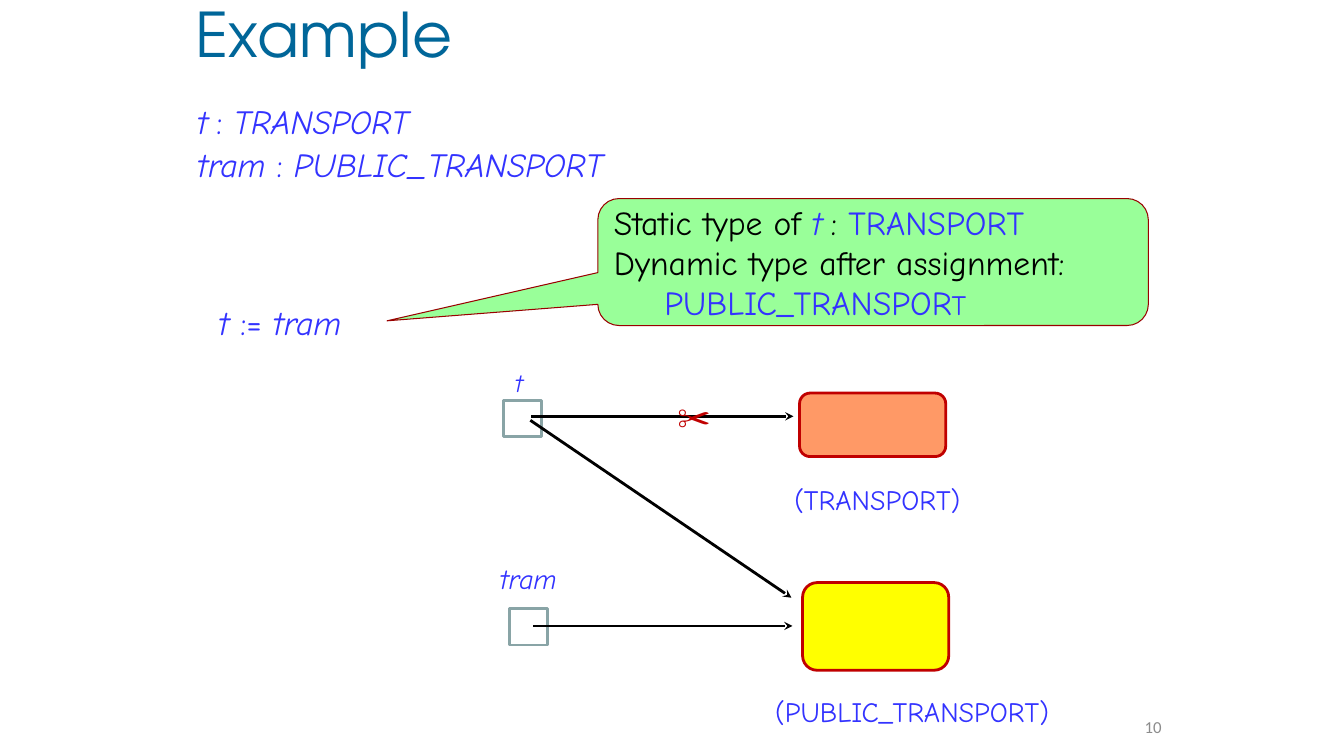
"""Build a slide on static and dynamic types in an assignment."""
from lxml import etree
from pptx import Presentation
from pptx.dml.color import RGBColor
from pptx.enum.shapes import MSO_CONNECTOR, MSO_SHAPE
from pptx.enum.text import MSO_ANCHOR, MSO_AUTO_SIZE, PP_ALIGN
from pptx.oxml.ns import qn
from pptx.util import Inches, Pt

LINE = MSO_CONNECTOR.STRAIGHT
RECT, ROUND = MSO_SHAPE.RECTANGLE, MSO_SHAPE.ROUNDED_RECTANGLE
CALLOUT = MSO_SHAPE.ROUNDED_RECTANGULAR_CALLOUT
MIDDLE, TOP = MSO_ANCHOR.MIDDLE, MSO_ANCHOR.TOP
LEFT, RIGHT = PP_ALIGN.LEFT, PP_ALIGN.RIGHT
NO_FIT = MSO_AUTO_SIZE.NONE

BLACK = RGBColor(0x00, 0x00, 0x00)
BLUE = RGBColor(0x33, 0x33, 0xFF)
TEAL = RGBColor(0x00, 0x66, 0x99)
RED = RGBColor(0xC0, 0x00, 0x00)
DARK_RED = RGBColor(0x99, 0x00, 0x00)
ORANGE = RGBColor(0xFF, 0x99, 0x66)
YELLOW = RGBColor(0xFF, 0xFF, 0x00)
GREEN = RGBColor(0x99, 0xFF, 0x99)
SLATE = RGBColor(0x89, 0xA4, 0xA6)
GRAY = RGBColor(0x8C, 0x8C, 0x8C)
COMIC = "Comic Neue"

deck = Presentation()
deck.slide_width, deck.slide_height = Inches(13.33), Inches(7.5)
slide = deck.slides.add_slide(deck.slide_layouts[5])
shapes = slide.shapes


def write(shape, lines, font=COMIC, anchor=TOP, align=LEFT, pad=(0.1, 0.05)):
    """Fill a shape with lines of (text, size, color, italic) runs."""
    frame = shape.text_frame
    frame.word_wrap, frame.auto_size = True, NO_FIT
    frame.vertical_anchor = anchor
    frame.margin_left = frame.margin_right = Inches(pad[0])
    frame.margin_top = frame.margin_bottom = Inches(pad[1])
    for i, line in enumerate(lines):
        para = frame.add_paragraph() if i else frame.paragraphs[0]
        para.alignment = align
        for text, size, color, slant in line:
            if text.startswith("\t"):
                para.add_line_break()
            run = para.add_run()
            run.text = text
            run.font.name, run.font.size = font, Pt(size)
            run.font.color.rgb, run.font.italic = color, slant
            run.font.bold = False
    return frame


def draw(kind, box, fill, edge, width):
    """Add a flat shape with the given fill and outline."""
    shape = shapes.add_shape(kind, *map(Inches, box))
    shape.shadow.inherit = False
    if fill is None:
        shape.fill.background()
    else:
        shape.fill.solid()
        shape.fill.fore_color.rgb = fill
    shape.line.color.rgb, shape.line.width = edge, Pt(width)
    return shape


title = shapes.title
title.left, title.top = Inches(1.94), Inches(0.13)
title.width, title.height = Inches(8.69), Inches(0.48)
head = write(title, [[("Example", 44, TEAL, False)]],
             "TeX Gyre Adventor", MIDDLE, pad=(0, 0))
head.paragraphs[0].line_spacing = 0.9

types = shapes.add_textbox(*map(Inches, (1.86, 1, 9.12, 1.04)))
body = write(types, [
    [("t", 24, BLUE, True), (" ", 18, BLUE, True),
     (":", 24, BLUE, False), (" TRANSPORT", 24, BLUE, True)],
    [("tram ", 24, BLUE, True), (":", 24, BLUE, False),
     (" PUBLIC_TRANSPORT", 24, BLUE, True)],
])
for para in body.paragraphs:
    para.line_spacing = 0.9
body.paragraphs[1].space_before = Pt(4.8)

for box, fill in [((7.93, 3.9, 1.45, 0.63), ORANGE),
                  ((7.96, 5.78, 1.45, 0.87), YELLOW)]:
    draw(ROUND, box, fill, RED, 2)
for left, top in [(4.99, 3.97), (5.05, 6.04)]:
    draw(RECT, (left, top, 0.38, 0.36), None, SLATE, 2)

for ends in [(5.27, 4.13, 7.87, 4.13), (5.26, 4.17, 7.85, 5.93),
             (5.29, 6.21, 7.86, 6.21)]:
    arrow = shapes.add_connector(LINE, *map(Inches, ends))
    arrow.line.color.rgb, arrow.line.width = BLACK, Pt(2)
    edge = arrow.line._get_or_add_ln()
    etree.SubElement(edge, qn("a:tailEnd"), type="stealth")
    etree.SubElement(arrow._element.spPr, qn("a:effectLst"))

labels = [
    ((7.78, 4.74, 2.13, 0.44), [("(TRANSPORT)", 20, BLUE, False)]),
    ((7.59, 6.84, 3.32, 0.44), [("(PUBLIC_TRANSPORT)", 20, BLUE, False)]),
    ((5.01, 3.59, 0.41, 0.4), [("t", 18, BLUE, True)]),
    ((4.86, 5.52, 0.93, 0.44), [("tram", 20, BLUE, True)]),
    ((2.07, 2.95, 2.5, 0.5), [("t ", 24, BLUE, True), (":=", 24, BLUE, False),
                              (" tram", 24, BLUE, True)]),
    ((6.62, 3.89, 0.59, 0.5), [("✂", 24, RED, False)]),
]
for box, runs in labels:
    write(shapes.add_textbox(*map(Inches, box)), [runs])

note = draw(CALLOUT, (5.93, 1.97, 5.46, 1.26), GREEN, DARK_RED, 0.75)
for i, value in enumerate((-0.883, 0.463, 0.167)):
    note.adjustments[i] = value
write(note, [
    [("Static type of ", 24, BLACK, False), ("t", 24, BLUE, True),
     (" ", 18, BLUE, True), (": ", 24, BLACK, False),
     ("TRANSPORT", 24, BLUE, False)],
    [("Dynamic type after assignment:", 24, BLACK, False),
     ("\tPUBLIC_TRANSPOR", 24, BLUE, False), ("T", 20, BLUE, False)],
], anchor=MIDDLE)

number = shapes.add_textbox(*map(Inches, (11.02, 6.93, 0.6, 0.57)))
write(number, [[("10", 12, GRAY, False)]], "Calibri", MIDDLE, RIGHT, (0.1, 0.1))

deck.save("out.pptx")
